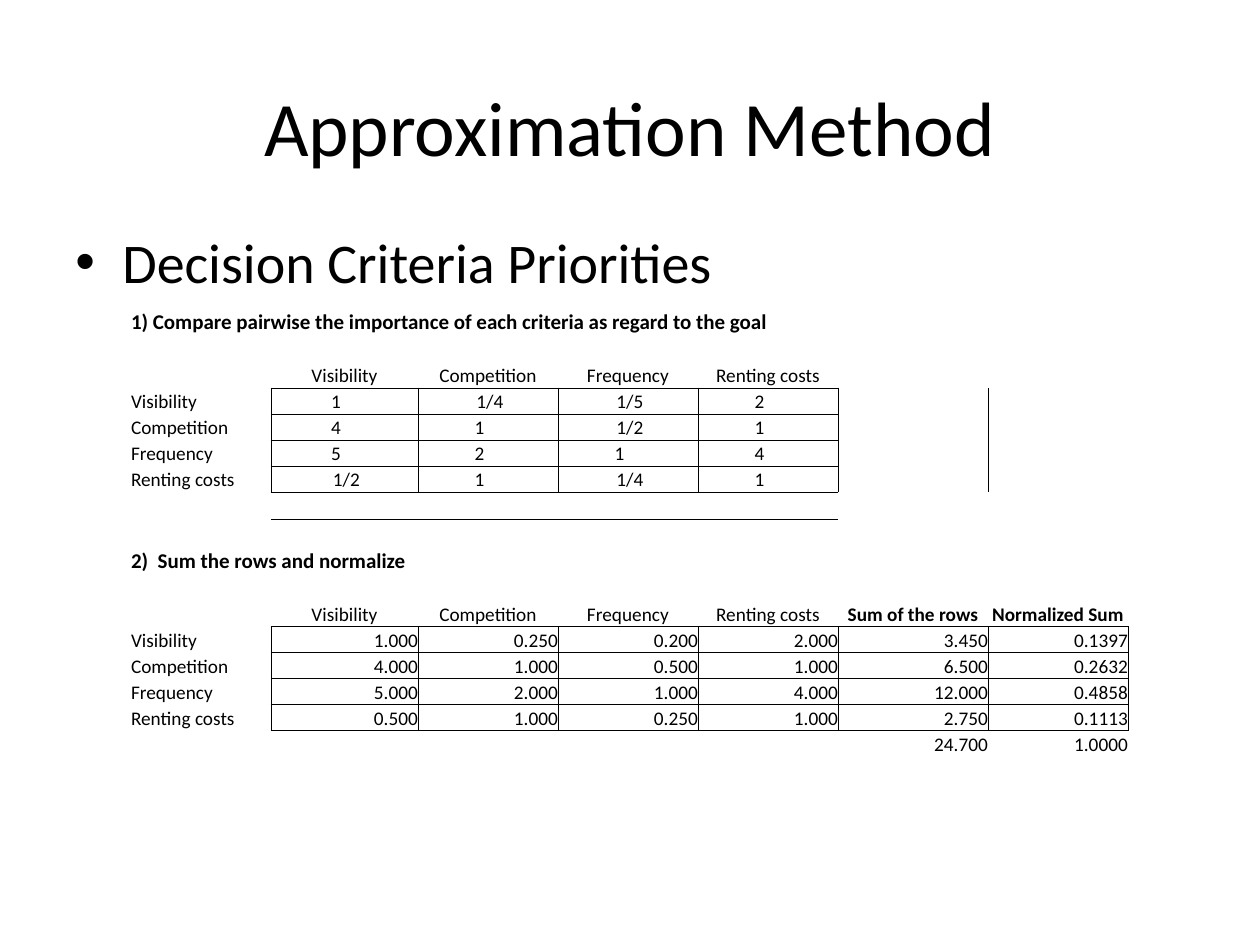
"""Build the Approximation Method slide with its decision criteria table."""
from lxml.etree import SubElement
from pptx import Presentation
from pptx.dml.color import RGBColor
from pptx.enum.text import MSO_ANCHOR, PP_ALIGN
from pptx.oxml.ns import qn
from pptx.util import Emu, Pt

SCALE = 914400 / 126
COLORS = {"text": "000000", "border": "000000"}
FONT = "Calibri"
NO_STYLE = "{2D5ABB26-0587-4C30-8999-92F81FD0307C}"
SIDES = {"a:lnL": (0, -1), "a:lnR": (0, 1), "a:lnT": (-1, 0), "a:lnB": (1, 0)}


def px(length):
    return Emu(round(length * SCALE))


def write(text_frame, text, size, alignment=PP_ALIGN.LEFT, bold=False):
    text_frame.text = text
    paragraph = text_frame.paragraphs[0]
    paragraph.alignment = alignment
    for run in paragraph.runs:
        run.font.name = FONT
        run.font.size = Pt(size)
        run.font.bold = bold
        run.font.color.rgb = RGBColor.from_string(COLORS["text"])
    return paragraph


presentation = Presentation()
presentation.slide_width = px(1260)
presentation.slide_height = px(945)
slide = presentation.slides.add_slide(presentation.slide_layouts[6])

body = slide.shapes.add_textbox(px(63), px(221), px(1134), px(624))
body.text_frame.word_wrap = True
paragraph = write(body.text_frame, "Decision Criteria Priorities", 32)
properties = paragraph._p.get_or_add_pPr()
properties.set("marL", str(px(47)))
properties.set("indent", str(-px(47)))
SubElement(properties, qn("a:buFont")).set("typeface", "Arial")
SubElement(properties, qn("a:buChar")).set("char", "•")

title = slide.shapes.add_textbox(px(63), px(47), px(1134), px(158))
title.text_frame.word_wrap = True
title.text_frame.vertical_anchor = MSO_ANCHOR.MIDDLE
write(title.text_frame, "Approximation Method", 44, PP_ALIGN.CENTER)

criteria = ["Visibility", "Competition", "Frequency", "Renting costs"]
pairwise = [
    ["1", "1/4", "1/5", "2"],
    ["4", "1", "1/2", "1"],
    ["5", "2", "1", "4"],
    ["1/2", "1", "1/4", "1"],
]
normalized = [
    ["1.000", "0.250", "0.200", "2.000", "3.450", "0.1397"],
    ["4.000", "1.000", "0.500", "1.000", "6.500", "0.2632"],
    ["5.000", "2.000", "1.000", "4.000", "12.000", "0.4858"],
    ["0.500", "1.000", "0.250", "1.000", "2.750", "0.1113"],
]
rows = [
    ["1) Compare pairwise the importance of each criteria as regard to the goal"],
    [],
    ["", *criteria],
    *[[name, *values] for name, values in zip(criteria, pairwise)],
    [],
    [],
    ["2)  Sum the rows and normalize"],
    [],
    ["", *criteria, "Sum of the rows", "Normalized Sum"],
    *[[name, *values] for name, values in zip(criteria, normalized)],
    ["", "", "", "", "", "24.700", "1.0000"],
]
column_widths = [140, 147, 140, 140, 140, 150, 140]
heading_spans = {0: 5, 9: 3}
header_rows = (2, 11)
grid = {(row, column) for row in range(3, 7) for column in range(1, 5)}
grid |= {(row, column) for row in range(12, 16) for column in range(1, 7)}
row_heights = [28 if row in heading_spans else 26 if values else 27 for row, values in enumerate(rows)]

frame = slide.shapes.add_table(
    len(rows), len(column_widths), px(131), px(307), px(sum(column_widths)), px(sum(row_heights))
)
table = frame.table
table.first_row = False
table.horz_banding = False
table._tbl.tblPr.find(qn("a:tableStyleId")).text = NO_STYLE
for column, width in zip(table.columns, column_widths):
    column.width = px(width)
for row, height in zip(table.rows, row_heights):
    row.height = px(height)

for row, values in enumerate(rows):
    for column in range(len(column_widths)):
        cell = table.cell(row, column)
        cell.margin_left = cell.margin_right = cell.margin_top = cell.margin_bottom = 0
        cell.vertical_anchor = MSO_ANCHOR.BOTTOM
        text = values[column] if column < len(values) else ""
        alignment = PP_ALIGN.LEFT
        if row in header_rows or (row < 7 and column):
            alignment = PP_ALIGN.CENTER
        elif row > 11 and column:
            alignment = PP_ALIGN.RIGHT
        if (row, column) in grid and row < 7:
            if "/" in text:
                cell.margin_left = px(4)
            else:
                cell.margin_right = px(17)
        bold = row in heading_spans or (row in header_rows and column > 4)
        size = 12 if row in heading_spans else 11
        paragraph = write(cell.text_frame, text, size, alignment, bold)
        if not text:
            SubElement(paragraph._p, qn("a:endParaRPr")).set("sz", str(size * 100))
        cell_properties = cell._tc.get_or_add_tcPr()
        for side, (down, across) in SIDES.items():
            if (row, column) in grid or (row + down, column + across) in grid:
                line = SubElement(cell_properties, qn(side), w=str(Pt(0.5)))
                line_fill = SubElement(line, qn("a:solidFill"))
                SubElement(line_fill, qn("a:srgbClr")).set("val", COLORS["border"])
        cell.fill.background()

for row, span in heading_spans.items():
    table.cell(row, 0).merge(table.cell(row, span - 1))

presentation.save("out.pptx")
